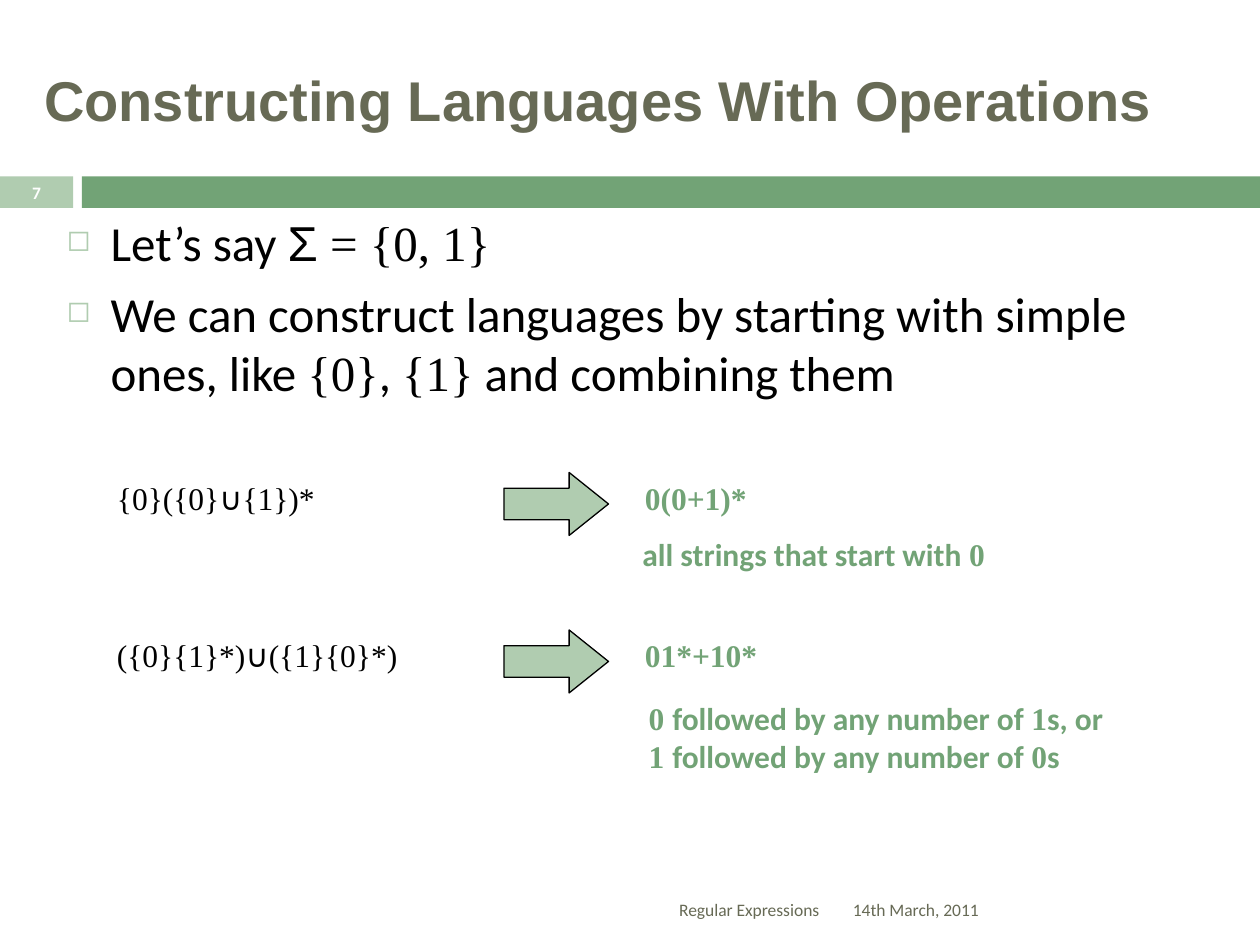
from pptx import Presentation
from pptx.dml.color import RGBColor
from pptx.enum.shapes import MSO_SHAPE
from pptx.enum.text import MSO_ANCHOR, PP_ALIGN
from pptx.oxml import parse_xml
from pptx.oxml.ns import nsdecls
from pptx.util import Inches, Pt

MIDDLE, TOP = MSO_ANCHOR.MIDDLE, MSO_ANCHOR.TOP
LEFT, CENTER, RIGHT = PP_ALIGN.LEFT, PP_ALIGN.CENTER, PP_ALIGN.RIGHT
RECT, ARROW = MSO_SHAPE.RECTANGLE, MSO_SHAPE.RIGHT_ARROW
color = RGBColor.from_string
BLACK, WHITE, OLIVE, GREEN, PALE = "000000", "FFFFFF", "676A55", "72A376", "B0CCB0"
SANS, SERIF, ARIAL = "Calibri", "Times New Roman", "Arial"

prs = Presentation()
prs.slide_width, prs.slide_height = Inches(10), Inches(7.5)
s = prs.slides.add_slide(prs.slide_layouts[5])


def add_shape(kind, at, fill):
    sp = s.shapes.add_shape(kind, *map(Inches, at))
    sp.shadow.inherit = False
    sp.fill.solid()
    sp.fill.fore_color.rgb = color(fill)
    sp.line.fill.background()
    return sp


def add_text(at, paragraphs, size, hue, bold=False, align=LEFT, anchor=TOP, wrap=True):
    """Add a text box; a paragraph is a list of (font, text) runs, "\\n" a line break."""
    tf = s.shapes.add_textbox(*map(Inches, at)).text_frame
    tf.word_wrap, tf.vertical_anchor = wrap, anchor
    for i, runs in enumerate(paragraphs):
        p = tf.paragraphs[0] if i == 0 else tf.add_paragraph()
        p.alignment = align
        p.font.size, p.font.bold, p.font.color.rgb = Pt(size), bold, color(hue)
        for font, text in runs:
            if text == "\n":
                p.add_line_break()
                continue
            r = p.add_run()
            r.text, r.font.name = text, font
    return tf


# Banner and title
add_shape(RECT, (0, 1.4, 0.58, 0.25), PALE)
add_shape(RECT, (0.65, 1.4, 9.35, 0.25), GREEN)
title = s.shapes.title
title.left, title.top, title.width, title.height = map(Inches, (0.25, 0.25, 9.34, 1.08))
title.text_frame.text = "Constructing Languages With Operations"
title.text_frame.vertical_anchor = MIDDLE
p = title.text_frame.paragraphs[0]
p.alignment = LEFT
p.font.name, p.font.size, p.font.bold = ARIAL, Pt(32), True
p.font.color.rgb = color(OLIVE)

# Bulleted introduction
intro = add_text((0.43, 1.64, 9.14, 2.03), [
    [(SANS, "Let’s say "), (ARIAL, "Σ"), (SERIF, " = {0, 1}")],
    [(SANS, "We can construct languages by starting with simple ones, like "),
     (SERIF, "{0}"), (SANS, ", "), (SERIF, "{1}"), (SANS, " and combining them")],
], 28, BLACK)
intro.paragraphs[1].space_before = Pt(7)
for p in intro.paragraphs:
    pPr = p._p.get_or_add_pPr()
    pPr.set("marL", str(Inches(0.35)))
    pPr.set("indent", str(-Inches(0.35)))
    bullet = (f'<a:buClr {nsdecls("a")}><a:srgbClr val="{PALE}"/></a:buClr>',
              f'<a:buSzPct {nsdecls("a")} val="60000"/>',
              f'<a:buChar {nsdecls("a")} char="◻"/>')
    at = pPr.index(pPr.find("{*}defRPr"))
    for k, xml in enumerate(bullet):
        pPr.insert(at + k, parse_xml(xml))

# Each example: set notation, arrow, regular expression
examples = [
    (3.75, ("{0}({0}", "{1})*"), "0(0+1)*"),
    (5, ("({0}{1}*)", "({1}{0}*)"), "01*+10*"),
]
for top, (before, after), regex in examples:
    add_text((0.83, top, 3.17, 0.5),
             [[(SERIF, before), (SANS, "∪"), (SERIF, after)]], 18, BLACK)
    arrow = add_shape(ARROW, (4, top, 0.83, 0.5), PALE)
    arrow.adjustments[1] = 0.625
    arrow.line.color.rgb, arrow.line.width = color(BLACK), Pt(0.75)
    add_text((5.02, top, 1.5, 0.4), [[(SERIF, regex)]], 18, GREEN, True)

# Meaning of each expression
followed = (SANS, "followed by any number of ")
add_text((5, 4.2, 3.31, 0.4),
         [[(SANS, "all strings that start with "), (SERIF, "0")]],
         18, GREEN, True, wrap=False)
add_text((5.05, 5.5, 4.28, 0.71),
         [[(SERIF, "0 "), followed, (SERIF, "1"), (SANS, "s, or"), (SANS, "\n"),
           (SERIF, "1 "), followed, (SERIF, "0"), (SANS, "s")]],
         18, GREEN, True, wrap=False)

# Date, slide number and footer
add_text((6.67, 7.02, 2.92, 0.4), [[(SANS, "14th March, 2011")]], 10, OLIVE, anchor=MIDDLE)
add_text((0, 1.39, 0.58, 0.27), [[(SANS, "7")]], 10, WHITE, True, CENTER, MIDDLE)
add_text((0.67, 7.02, 5.93, 0.4), [[(SANS, "Regular Expressions")]], 10, OLIVE,
         align=RIGHT, anchor=MIDDLE)

prs.save("out.pptx")
